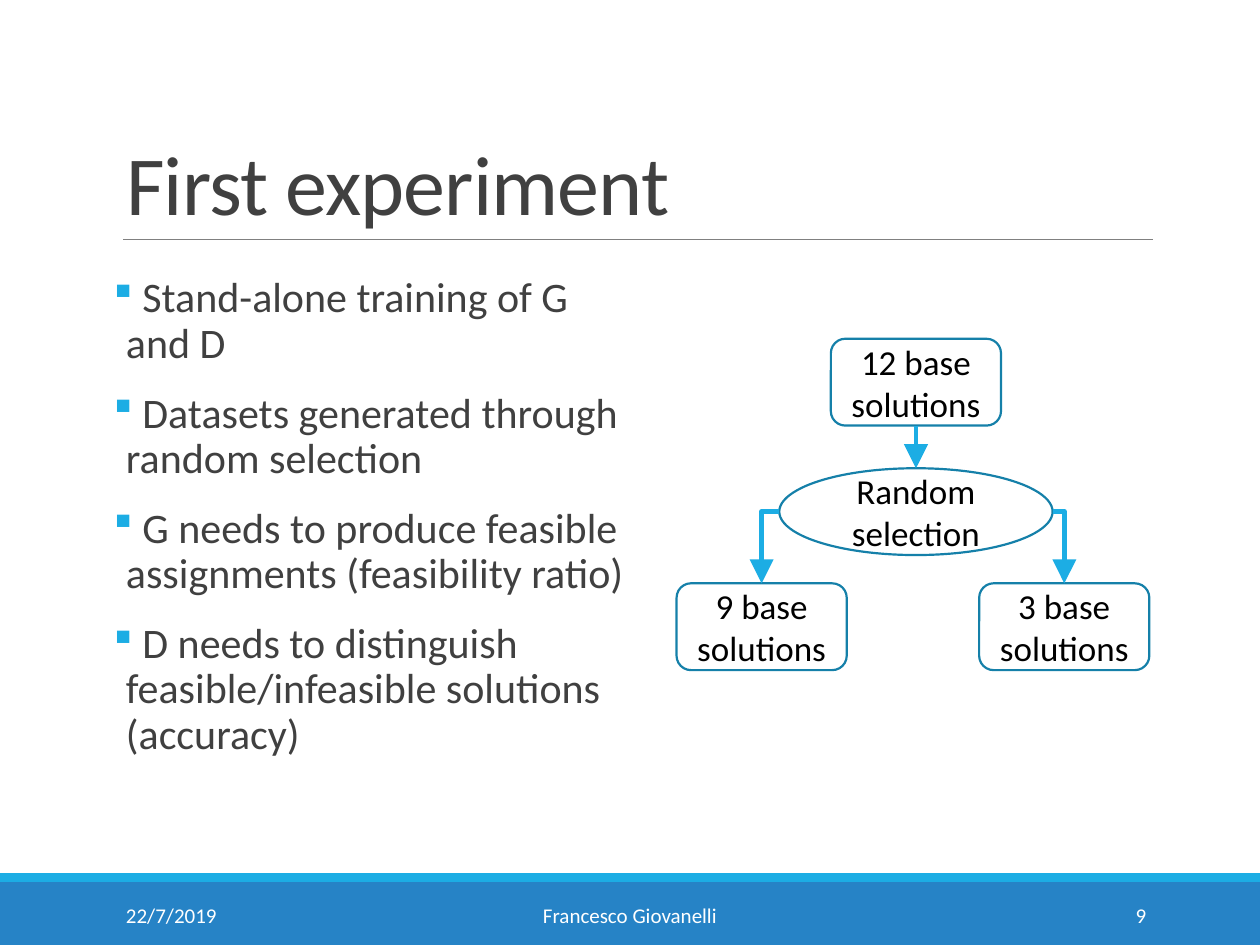
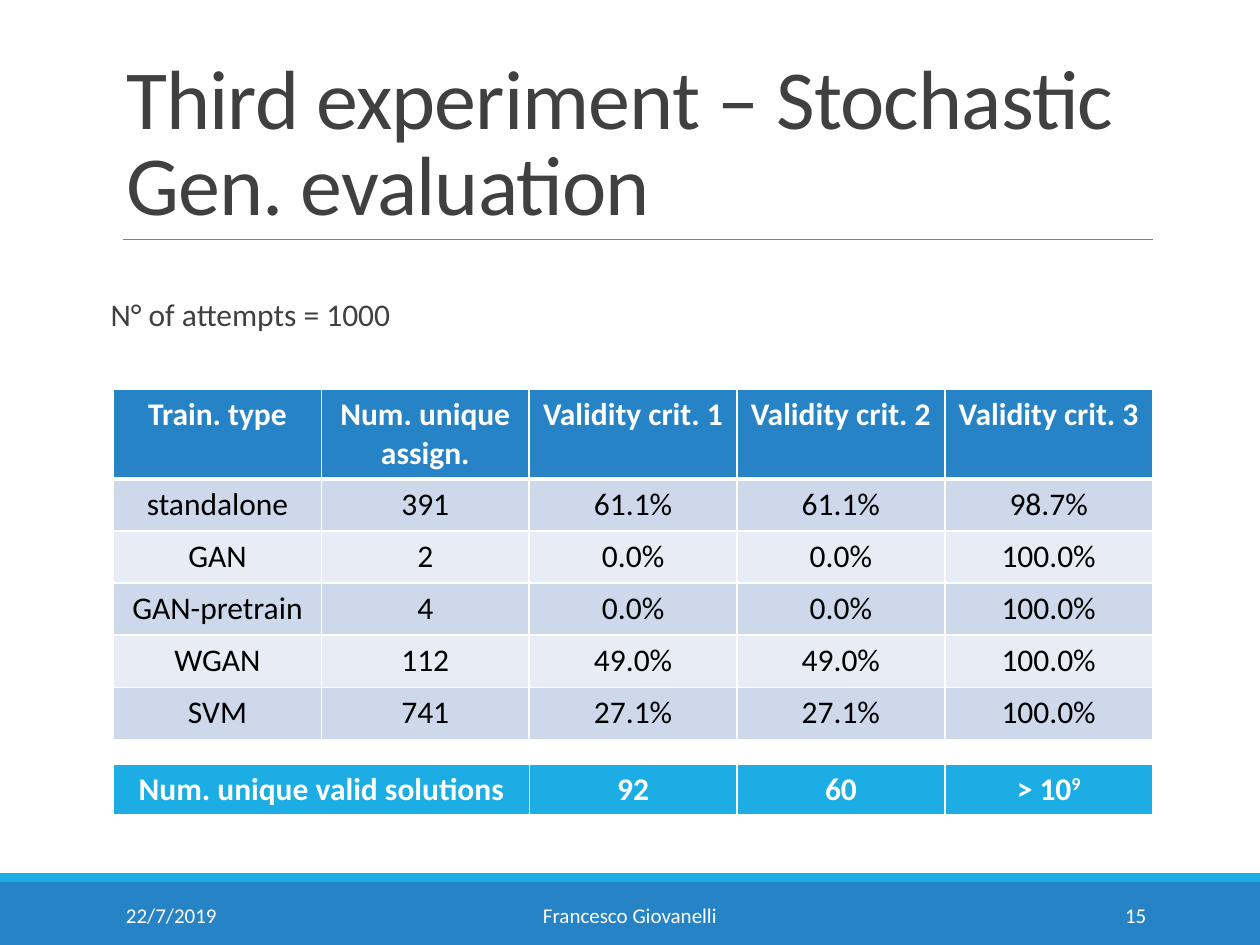
from dataclasses import dataclass

from lxml import etree
from pptx import Presentation
from pptx.dml.color import RGBColor
from pptx.enum.shapes import MSO_CONNECTOR, MSO_SHAPE
from pptx.enum.text import MSO_ANCHOR, MSO_AUTO_SIZE, PP_ALIGN
from pptx.oxml.ns import qn
from pptx.util import Cm, Pt

LEFT, CENTER, RIGHT = PP_ALIGN.LEFT, PP_ALIGN.CENTER, PP_ALIGN.RIGHT
TOP, MIDDLE, BOTTOM = MSO_ANCHOR.TOP, MSO_ANCHOR.MIDDLE, MSO_ANCHOR.BOTTOM
RECT, ROUNDED, OVAL = MSO_SHAPE.RECTANGLE, MSO_SHAPE.ROUNDED_RECTANGLE, MSO_SHAPE.OVAL
STRAIGHT, ELBOW = MSO_CONNECTOR.STRAIGHT, MSO_CONNECTOR.ELBOW
SIDE_TOP, SIDE_BOTTOM = 0, 2

FONT = "Calibri"
BULLET_FONT, BULLET = "Wingdings", "§"  # a small square in this font
COLORS = {
    "blue": "2683C6", "cyan": "1CADE4", "outline": "1580A9", "rule": "808080",
    "text": "404040", "black": "000000", "white": "FFFFFF",
    "row_dark": "CDD9EA", "row_light": "E8EDF5",
}
SLIDE_W, SLIDE_H = 25.4, 19.05
MARGIN, CONTENT_W = 2.29, 20.95
COLUMN_W, ROW_H, HEADER_H = CONTENT_W / 5, 1.05, 1.8


@dataclass
class Box:
    left: float
    top: float
    width: float
    height: float

    def lengths(self) -> tuple:
        return Cm(self.left), Cm(self.top), Cm(self.width), Cm(self.height)


@dataclass
class Style:
    size: float
    color: str
    align: PP_ALIGN = LEFT
    bold: bool = False


@dataclass
class Node:
    label: str
    kind: MSO_SHAPE
    box: Box


@dataclass
class FooterPart:
    box: Box
    align: PP_ALIGN


TITLE_STYLE = Style(48, "text")
BODY_STYLE = Style(24, "text")
NOTE_STYLE = Style(18, "text")
NODE_STYLE = Style(20, "black", CENTER)
HEADER_STYLE = Style(18, "white", CENTER, True)
CELL_STYLE = Style(18, "black", CENTER)

TITLE_BOX = Box(MARGIN, 0.79, CONTENT_W, 4.02)
BANDS = {"blue": Box(0, 17.78, SLIDE_W, 1.27), "cyan": Box(0, 17.6, SLIDE_W, 0.18)}
FOOTER = [
    FooterPart(Box(MARGIN, 17.93, 5.16, 1.02), LEFT),
    FooterPart(Box(7.67, 17.93, 10.06, 1.02), CENTER),
    FooterPart(Box(20.62, 17.93, 2.74, 1.02), RIGHT),
]

GOALS = [
    " Stand-alone training of G and D",
    " Datasets generated through random selection",
    " G needs to produce feasible assignments (feasibility ratio)",
    " D needs to distinguish feasible/infeasible solutions (accuracy)",
]
BASE = Node("12 base solutions", ROUNDED, Box(16.75, 6.83, 3.43, 1.75))
SELECTION = Node("Random selection", OVAL, Box(15.71, 9.44, 5.51, 1.75))
SPLITS = [
    Node("9 base solutions", ROUNDED, Box(13.64, 11.76, 3.43, 1.75)),
    Node("3 base solutions", ROUNDED, Box(19.74, 11.76, 3.43, 1.75)),
]

RESULTS = [
    ["Train. type", "Num. unique assign.", "Validity crit. 1", "Validity crit. 2",
     "Validity crit. 3"],
    ["standalone", "391", "61.1%", "61.1%", "98.7%"],
    ["GAN", "2", "0.0%", "0.0%", "100.0%"],
    ["GAN-pretrain", "4", "0.0%", "0.0%", "100.0%"],
    ["WGAN", "112", "49.0%", "49.0%", "100.0%"],
    ["SVM", "741", "27.1%", "27.1%", "100.0%"],
]
TOTALS = ["Num. unique valid solutions", "92", "60", "> 10"]


def rgb(name: str) -> RGBColor:
    return RGBColor.from_string(COLORS[name])


def style_runs(frame, style: Style) -> None:
    for paragraph in frame.paragraphs:
        paragraph.alignment = style.align
        for run in paragraph.runs:
            run.font.name = FONT
            run.font.size = Pt(style.size)
            run.font.bold = style.bold
            run.font.color.rgb = rgb(style.color)


def fill_frame(frame, text: str, style: Style, anchor: MSO_ANCHOR = TOP) -> None:
    frame.text = text
    frame.word_wrap = True
    frame.auto_size = MSO_AUTO_SIZE.NONE
    frame.vertical_anchor = anchor
    style_runs(frame, style)


def add_text(slide, box: Box, text: str, style: Style, anchor: MSO_ANCHOR = TOP):
    frame = slide.shapes.add_textbox(*box.lengths()).text_frame
    fill_frame(frame, text, style, anchor)
    return frame


def add_block(slide, kind: MSO_SHAPE, box: Box, fill: str):
    block = slide.shapes.add_shape(kind, *box.lengths())
    block.shadow.inherit = False
    block.fill.solid()
    block.fill.fore_color.rgb = rgb(fill)
    block.line.fill.background()
    return block


def add_node(slide, node: Node):
    shape = add_block(slide, node.kind, node.box, "white")
    shape.line.color.rgb = rgb("outline")
    shape.line.width = Pt(1.25)
    fill_frame(shape.text_frame, node.label, NODE_STYLE, MIDDLE)
    return shape


def add_line(slide, kind: MSO_CONNECTOR, start: tuple, end: tuple, color: str,
             width: float, arrow: bool = False):
    line = slide.shapes.add_connector(kind, *map(Cm, start + end))
    line.line.color.rgb = rgb(color)
    line.line.width = Pt(width)
    properties = line._element.spPr
    if arrow:
        etree.SubElement(properties.find(qn("a:ln")), qn("a:tailEnd"),
                         type="triangle", w="lg", len="lg")
    etree.SubElement(properties, qn("a:effectLst"))
    return line


def add_base_slide(deck, title: str, number: int):
    """Title, rule, bands and footer shared by all slides."""
    slide = deck.slides.add_slide(deck.slide_layouts[5])
    heading = slide.shapes.title
    heading.left, heading.top, heading.width, heading.height = TITLE_BOX.lengths()
    fill_frame(heading.text_frame, title, TITLE_STYLE, BOTTOM)
    paragraph = heading.text_frame.paragraphs[0]
    paragraph.line_spacing = 0.85
    paragraph.runs[0].font._element.set("spc", "-50")

    for color, box in BANDS.items():
        add_block(slide, RECT, box, color)
    add_line(slide, STRAIGHT, (2.48, 4.83), (23.24, 4.83), "rule", 0.5)
    for part, text in zip(FOOTER, ["22/7/2019", "Francesco Giovanelli", str(number)]):
        add_text(slide, part.box, text, Style(12, "white", part.align), MIDDLE)
    return slide


def add_bullets(slide, box: Box, items: list[str]) -> None:
    frame = add_text(slide, box, "\n".join(items), BODY_STYLE)
    frame.margin_left = frame.margin_right = 0
    for paragraph in frame.paragraphs:
        paragraph.line_spacing = 0.9
        paragraph.space_before, paragraph.space_after = Pt(12), Pt(2)
        properties = paragraph._p.get_or_add_pPr()
        properties.set("marL", str(Cm(0.25)))
        properties.set("indent", str(-Cm(0.25)))
        bullet_color = etree.SubElement(properties, qn("a:buClr"))
        etree.SubElement(bullet_color, qn("a:srgbClr"), val=COLORS["cyan"])
        etree.SubElement(properties, qn("a:buFont"), typeface=BULLET_FONT,
                         pitchFamily="2", charset="2")
        etree.SubElement(properties, qn("a:buChar"), char=BULLET)


def set_borders(cell, bottom: float) -> None:
    properties = cell._tc.get_or_add_tcPr()
    widths = {"a:lnL": 1, "a:lnR": 1, "a:lnT": 1, "a:lnB": bottom}
    for position, (tag, width) in enumerate(widths.items()):
        border = etree.Element(qn(tag), w=str(Pt(width)))
        fill = etree.SubElement(border, qn("a:solidFill"))
        etree.SubElement(fill, qn("a:srgbClr"), val=COLORS["white"])
        properties.insert(position, border)


def style_cell(cell, text: str, style: Style, fill: str, bottom: float) -> None:
    cell.text = text
    style_runs(cell.text_frame, style)
    cell.fill.solid()
    cell.fill.fore_color.rgb = rgb(fill)
    set_borders(cell, bottom)


def add_grid(slide, top: float, widths: list[float], heights: list[float]):
    box = Box(MARGIN, top, sum(widths), sum(heights))
    grid = slide.shapes.add_table(len(heights), len(widths), *box.lengths()).table
    for column, width in zip(grid.columns, widths):
        column.width = Cm(width)
    for row, height in zip(grid.rows, heights):
        row.height = Cm(height)
    return grid


def build_first_experiment(deck) -> None:
    slide = add_base_slide(deck, "First experiment", 9)
    add_bullets(slide, Box(MARGIN, 5.45, 10.29, 11.18), GOALS)

    # Selection diagram
    base = add_node(slide, BASE)
    selection = add_node(slide, SELECTION)
    down = add_line(slide, STRAIGHT, (18.47, 8.58), (18.47, 9.44), "cyan", 2.75, True)
    down.begin_connect(base, SIDE_BOTTOM)
    down.end_connect(selection, SIDE_TOP)

    oval = SELECTION.box
    middle = oval.top + oval.height / 2
    for split, side in zip(SPLITS, (oval.left, oval.left + oval.width)):
        add_node(slide, split)
        target = (split.box.left + split.box.width / 2, split.box.top)
        branch = add_line(slide, ELBOW, (side, middle), target, "cyan", 2.75, True)
        branch._element.spPr.find(qn("a:prstGeom")).set("prst", "bentConnector2")


def build_third_experiment(deck) -> None:
    slide = add_base_slide(deck, "Third experiment – Stochastic Gen. evaluation", 15)
    add_text(slide, Box(1.98, 5.82, 8.51, 1.02), "N° of attempts = 1000", NOTE_STYLE)

    # Results by training type
    body_rows = len(RESULTS) - 1
    results = add_grid(slide, 7.85, [COLUMN_W] * 5, [HEADER_H] + [ROW_H] * body_rows)
    for r, values in enumerate(RESULTS):
        for c, value in enumerate(values):
            if r == 0:
                style_cell(results.cell(r, c), value, HEADER_STYLE, "blue", 3)
            else:
                fill = "row_dark" if r % 2 else "row_light"
                style_cell(results.cell(r, c), value, CELL_STYLE, fill, 1)

    # Totals, the last one as a power of ten
    totals = add_grid(slide, 15.4, [2 * COLUMN_W] + [COLUMN_W] * 3, [ROW_H])
    for c, value in enumerate(TOTALS):
        style_cell(totals.cell(0, c), value, HEADER_STYLE, "cyan", 3)
    power = totals.cell(0, len(TOTALS) - 1).text_frame
    exponent = power.paragraphs[0].add_run()
    exponent.text = "9"
    style_runs(power, HEADER_STYLE)
    exponent.font._element.set("baseline", "30000")


def main() -> None:
    deck = Presentation()
    deck.slide_width, deck.slide_height = Cm(SLIDE_W), Cm(SLIDE_H)
    build_first_experiment(deck)
    build_third_experiment(deck)
    deck.save("out.pptx")


if __name__ == "__main__":
    main()
